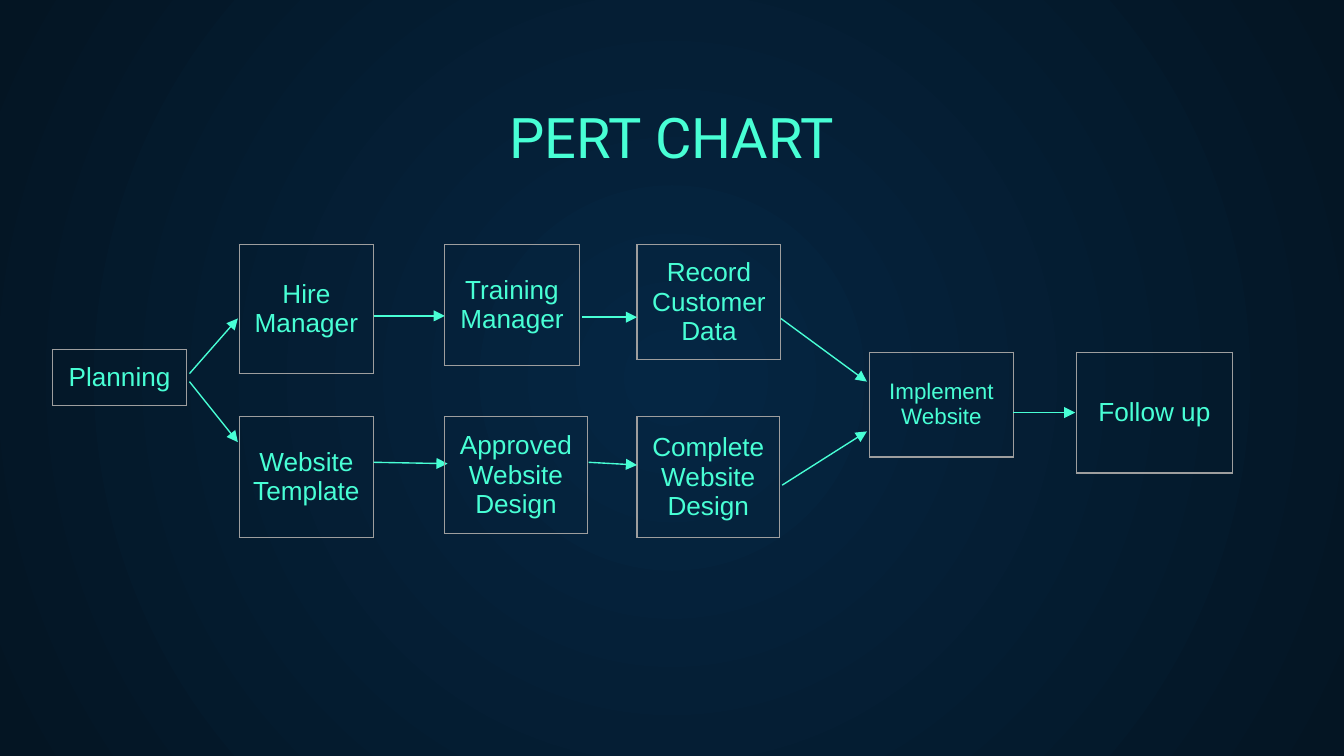
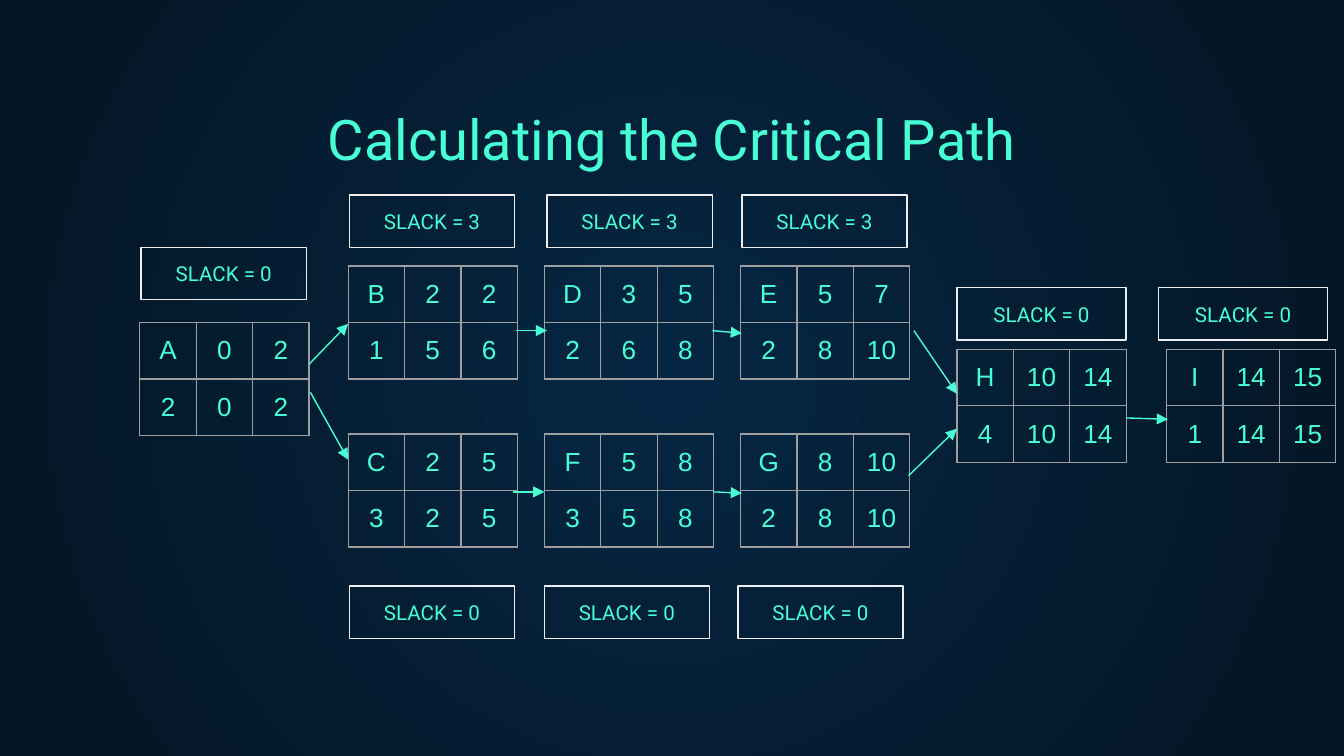
from dataclasses import dataclass
from typing import Any

from lxml import etree
from pptx import Presentation
from pptx import util as u
from pptx.dml.color import RGBColor
from pptx.enum import shapes, text
from pptx.oxml import ns
from pptx.slide import Slide

PX = 9144  # EMU in one px, with 100 px to the inch

COLORS = {
    "mint": "48FFD5",
    "grid": "9E9E9E",
    "frame": "EEEEEE",
    "center": "052643",
    "edge": "041523",
}
LINE_WIDTH = u.Pt(0.75)
MARGINS = {f"margin_{side}": 10 * PX for side in ("left", "top", "right", "bottom")}
PLAIN_TABLE = {"first_row": False, "horz_banding": False}
TABLE_FRAME = {"width": 328 * PX, "height": 328 * PX}
TITLE_AREA = {"left": 34 * PX, "top": 70 * PX, "width": 932 * PX, "height": 66 * PX}
MIDDLE = text.MSO_ANCHOR.MIDDLE
BOTTOM = text.MSO_ANCHOR.BOTTOM


@dataclass(frozen=True)
class Task:
    label: str
    left: int
    top: int
    width: int
    height: int
    size: int = 14


@dataclass(frozen=True)
class Activity:
    """Name, early start and finish above duration, late start and finish."""
    left: int
    top: int
    upper: str
    lower: str


@dataclass(frozen=True)
class Slack:
    left: int
    top: int
    value: int
    width: int = 123


@dataclass(frozen=True)
class Arrow:
    x1: int
    y1: int
    x2: int
    y2: int


# Slide 1: tasks and the arrows between them, from back to front
TASK_FLOW = [
    Task("Planning", 39, 260, 100, 41),
    Task("Hire Manager", 178, 182, 100, 96),
    Arrow(141, 278, 177, 237),
    Arrow(141, 284, 177, 329),
    Task("Website Template", 178, 310, 100, 90),
    Arrow(278, 235, 331, 235),
    Task("Training Manager", 331, 182, 100, 90),
    Task("Record Customer Data", 474, 182, 107, 78),
    Arrow(433, 236, 474, 236),
    Arrow(278, 344, 333, 345),
    Task("Approved Website Design", 331, 310, 106, 87),
    Task("Complete Website Design", 474, 310, 106, 90),
    Arrow(438, 344, 474, 346),
    Arrow(581, 237, 645, 284),
    Arrow(582, 361, 645, 321),
    Task("Implement Website", 647, 262, 107, 78, 12),
    Arrow(754, 307, 800, 307),
    Task("Follow up", 801, 262, 116, 90),
]

# Slide 2: activity times and slack
CELL = 42
COLUMNS = [259 + 146 * step for step in range(3)]
UPPER_ROW, LOWER_ROW, LAST_ROW = 198, 323, 260
ACTIVITIES = [
    Activity(104, 240, "A 0 2", "2 0 2"),
    Activity(COLUMNS[0], UPPER_ROW, "B 2 2", "1 5 6"),
    Activity(COLUMNS[0], LOWER_ROW, "C 2 5", "3 2 5"),
    Activity(COLUMNS[1], LOWER_ROW, "F 5 8", "3 5 8"),
    Activity(COLUMNS[2], LOWER_ROW, "G 8 10", "2 8 10"),
    Activity(COLUMNS[1], UPPER_ROW, "D 3 5", "2 6 8"),
    Activity(COLUMNS[2], UPPER_ROW, "E 5 7", "2 8 10"),
    Activity(712, LAST_ROW, "H 10 14", "4 10 14"),
    Activity(868, LAST_ROW, "I 14 15", "1 14 15"),
]
ACTIVITY_ARROWS = [
    Arrow(230, 271, 259, 241),
    Arrow(231, 292, 259, 342),
    Arrow(384, 246, 407, 246),
    Arrow(382, 366, 405, 366),
    Arrow(530, 246, 552, 248),
    Arrow(531, 366, 552, 367),
    Arrow(676, 354, 712, 319),
    Arrow(680, 246, 712, 293),
    Arrow(838, 311, 869, 312),
]
SLACKS = [
    *(Slack(left, 145, 3) for left in (260, 407, 552)),
    *(Slack(left, 214, 0, 126) for left in (712, 862)),
    Slack(105, 184, 0),
    *(Slack(left, 436, 0) for left in (260, 405, 549)),
]


def color(name: str) -> RGBColor:
    return RGBColor.from_string(COLORS[name])


def apply(target: Any, values: dict[str, Any]) -> None:
    for name, value in values.items():
        setattr(target, name, value)


def write(holder: Any, frame: Any, words: str, font: str, size: int,
          anchor: Any = MIDDLE) -> None:
    """Write one centred paragraph; holder carries the margins."""
    apply(holder, {**MARGINS, "vertical_anchor": anchor})
    para = frame.paragraphs[0]
    para.alignment = text.PP_ALIGN.CENTER
    span = para.add_run()
    span.text = words
    apply(span.font, {"name": font, "size": u.Pt(size), "bold": False})
    span.font.color.rgb = color("mint")


def paint_background(master: Any) -> None:
    fill = master.background.fill
    fill.gradient()
    for stop, name in zip(fill.gradient_stops, ("center", "edge")):
        stop.color.rgb = color(name)
    linear = master.element.find(".//" + ns.qn("p:bgPr")).find(".//" + ns.qn("a:lin"))
    radial = etree.Element(ns.qn("a:path"), {"path": "circle"})
    etree.SubElement(radial, ns.qn("a:fillToRect"), dict.fromkeys("ltrb", "50000"))
    linear.getparent().replace(linear, radial)


def add_page(deck: Any, title: str, anchor: Any) -> Slide:
    page = deck.slides.add_slide(deck.slide_layouts[5])
    box = page.shapes.title
    apply(box, TITLE_AREA)
    frame = box.text_frame
    apply(frame, {"word_wrap": True, "auto_size": text.MSO_AUTO_SIZE.NONE})
    write(frame, frame, title, "Roboto", 30, anchor)
    return page


def outline_cell(cell: Any) -> None:
    properties = cell._tc.get_or_add_tcPr()
    for side in "LRTB":
        border = etree.SubElement(properties, ns.qn(f"a:ln{side}"), w=str(LINE_WIDTH))
        solid = etree.SubElement(border, ns.qn("a:solidFill"))
        etree.SubElement(solid, ns.qn("a:srgbClr"), val=COLORS["grid"])
    cell.fill.background()


def add_grid(page: Slide, left: int, top: int, width: int, height: int,
             rows: list[list[str]], size: int = 14) -> None:
    """Draw a table whose cells are all width by height."""
    holder = page.shapes.add_table(
        len(rows), len(rows[0]), left * PX, top * PX, **TABLE_FRAME)
    table = holder.table
    apply(table, PLAIN_TABLE)
    for column in table.columns:
        column.width = width * PX
    for row, values in zip(table.rows, rows):
        row.height = height * PX
        for cell, value in zip(row.cells, values):
            outline_cell(cell)
            write(cell, cell.text_frame, value, "Arial", size)
    # Resizing columns and rows shrinks the frame, so it is set last
    apply(holder, TABLE_FRAME)


def add_arrow(page: Slide, arrow: Arrow) -> None:
    connector = page.shapes.add_connector(
        shapes.MSO_CONNECTOR.STRAIGHT,
        arrow.x1 * PX, arrow.y1 * PX, arrow.x2 * PX, arrow.y2 * PX)
    line = connector.line
    line.color.rgb = color("mint")
    line.width = LINE_WIDTH
    properties = connector.element.spPr
    etree.SubElement(properties.find(ns.qn("a:ln")), ns.qn("a:tailEnd"), type="triangle")
    etree.SubElement(properties, ns.qn("a:effectLst"))


def add_slack(page: Slide, slack: Slack) -> None:
    box = page.shapes.add_shape(
        shapes.MSO_SHAPE.RECTANGLE,
        slack.left * PX, slack.top * PX, slack.width * PX, 39 * PX)
    box.shadow.inherit = False
    box.fill.background()
    box.line.color.rgb = color("frame")
    box.line.width = LINE_WIDTH
    write(box.text_frame, box.text_frame, f"SLACK = {slack.value}", "Roboto", 11)


def build_pert_chart(deck: Any) -> None:
    page = add_page(deck, "PERT CHART", BOTTOM)
    for item in TASK_FLOW:
        if isinstance(item, Arrow):
            add_arrow(page, item)
        else:
            add_grid(page, item.left, item.top, item.width, item.height,
                     [[item.label]], item.size)


def build_critical_path(deck: Any) -> None:
    page = add_page(deck, "Calculating the Critical Path", MIDDLE)
    for activity in ACTIVITIES:
        add_grid(page, activity.left, activity.top, CELL, CELL,
                 [activity.upper.split(), activity.lower.split()])
    for arrow in ACTIVITY_ARROWS:
        add_arrow(page, arrow)
    for slack in SLACKS:
        add_slack(page, slack)


def main() -> None:
    deck = Presentation()
    apply(deck, {"slide_width": 1000 * PX, "slide_height": u.Inches(5.625)})
    paint_background(deck.slide_master)
    build_pert_chart(deck)
    build_critical_path(deck)
    deck.save("out.pptx")


if __name__ == "__main__":
    main()
